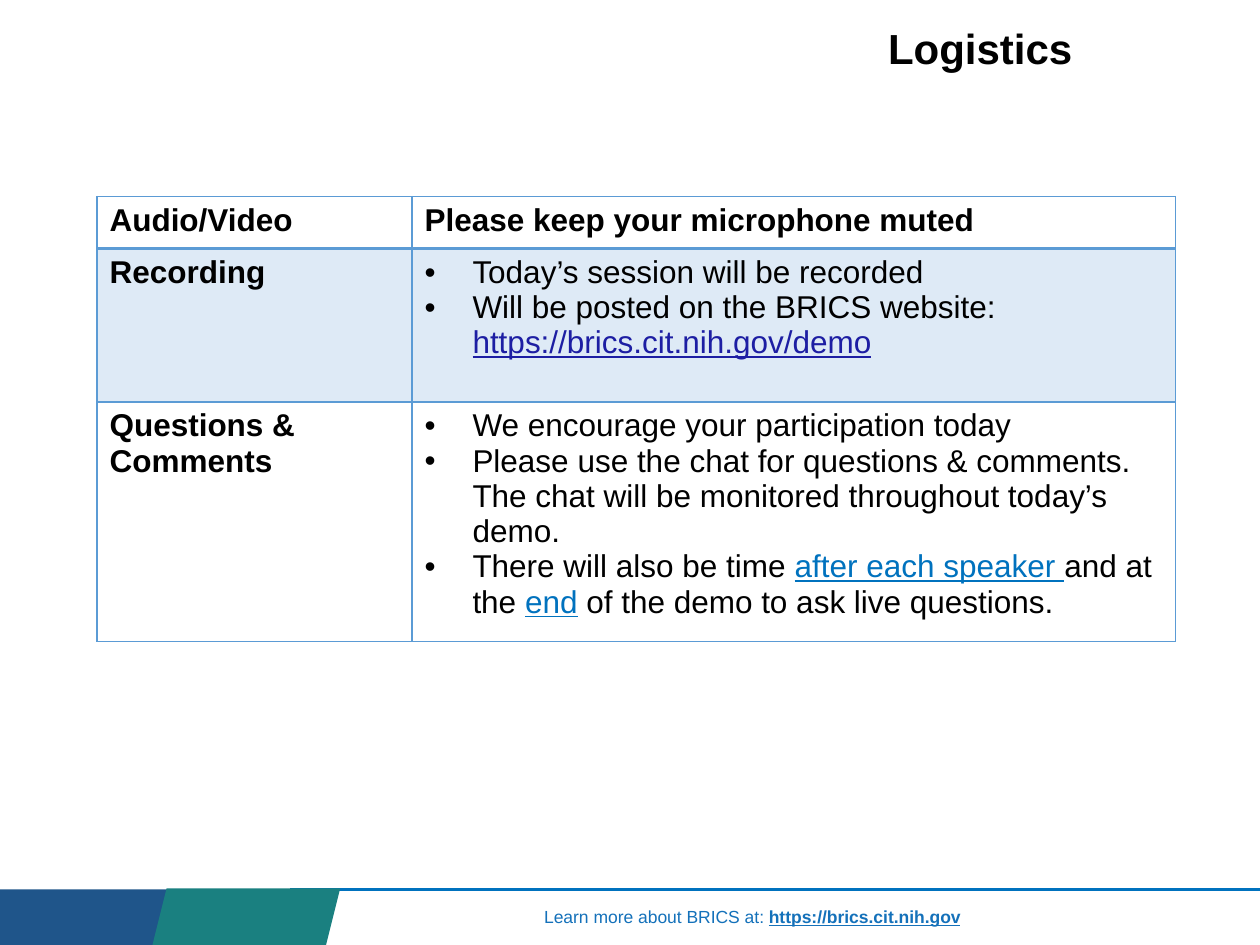
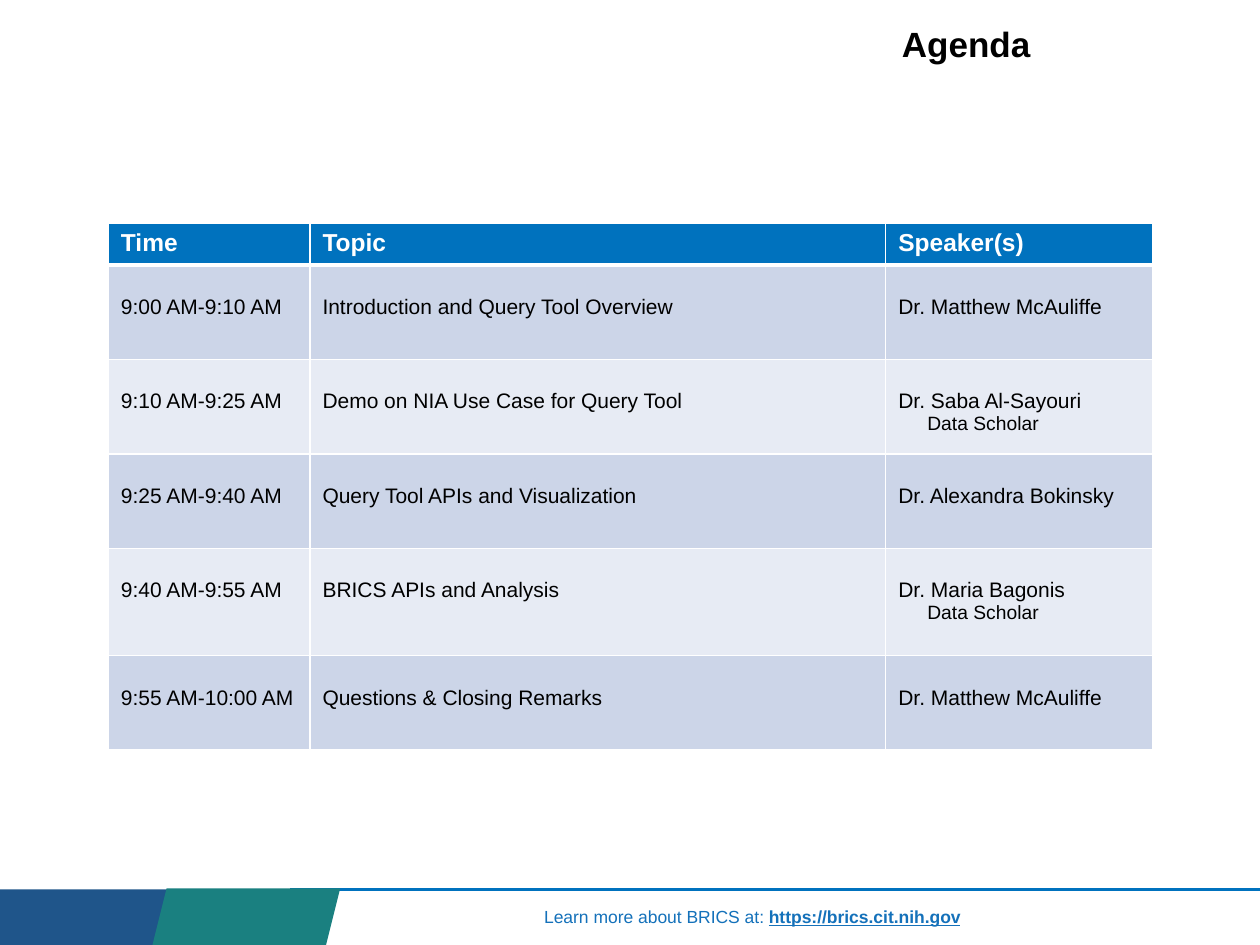
from pptx import Presentation
from pptx.dml.color import RGBColor
from pptx.enum.shapes import MSO_CONNECTOR as Link, MSO_SHAPE as Shape
from pptx.enum.text import MSO_ANCHOR as Anchor
from pptx.oxml.ns import qn
from pptx.util import Inches, Pt
from lxml.etree import SubElement

BLACK = RGBColor(0x00, 0x00, 0x00)
WHITE = RGBColor(0xFF, 0xFF, 0xFF)
BLUE = RGBColor(0x00, 0x72, 0xBE)
NAVY = RGBColor(0x1F, 0x55, 0x8A)
TEAL = RGBColor(0x1A, 0x80, 0x80)
FOOT = RGBColor(0x14, 0x71, 0xBA)
LINK = RGBColor(0x1D, 0x1E, 0xA3)
RULE = RGBColor(0x5B, 0x9B, 0xD5)
PALE = RGBColor(0xDE, 0xEA, 0xF6)
BANDS = RGBColor(0xCC, 0xD5, 0xE8), RGBColor(0xE7, 0xEB, 0xF4)
FACE = "Arial"


class Deck:
    def __init__(self):
        self.prs = Presentation()
        self.prs.slide_width = Inches(10)
        self.prs.slide_height = Inches(7.5)

    def page(self, title, size, *box):
        """Start a slide with its footer band and title."""
        blank = self.prs.slide_layouts[6]
        self.shapes = self.prs.slides.add_slide(blank).shapes
        self.line(2.3, 7.06, 10, 7.06, BLUE, 2)
        self.block(Shape.RECTANGLE, NAVY, 0, 7.06, 1.37, 0.44)
        foot = self.text(4.22, 7.14, 3.54, 0.27)
        self.fill_para(foot.paragraphs[0], [
            "Learn more about BRICS at: ",
            ("https://brics.cit.nih.gov", {"bold": True, "underline": True}),
        ], 10, FOOT)
        self.block(Shape.PARALLELOGRAM, TEAL, 1.21, 7.05, 1.49, 0.45)
        head = self.text(*box)
        head.vertical_anchor = Anchor.MIDDLE
        head.paragraphs[0].line_spacing = 0.9
        self.fill_para(head.paragraphs[0], [title], size, bold=True)

    def line(self, x1, y1, x2, y2, color, width):
        line = self.shapes.add_connector(
            Link.STRAIGHT, Inches(x1), Inches(y1), Inches(x2), Inches(y2))
        line.line.color.rgb = color
        line.line.width = Pt(width)
        SubElement(line._element.spPr, qn("a:effectLst"))

    def block(self, kind, color, *box):
        block = self.shapes.add_shape(kind, *map(Inches, box))
        block.shadow.inherit = False
        block.fill.solid()
        block.fill.fore_color.rgb = color
        block.line.fill.background()

    def text(self, *box):
        frame = self.shapes.add_textbox(*map(Inches, box)).text_frame
        frame.word_wrap = False
        return frame

    def fill_para(self, para, runs, size, color=BLACK, bold=False,
                  bullet=False, indent=0):
        """Write runs, each a string or a (string, font changes) pair."""
        props = para._p.get_or_add_pPr()
        if bullet:
            props.set("marL", str(Inches(0.38)))
            props.set("indent", str(-Inches(0.38)))
            SubElement(props, qn("a:buFont"), typeface=FACE)
            SubElement(props, qn("a:buChar"), char="•")
        elif indent:
            props.set("marL", str(Inches(indent)))
        font = para.font
        font.name, font.size, font.bold = FACE, Pt(size), bold
        font.color.rgb = color
        for item in runs:
            words, style = (item, {}) if isinstance(item, str) else item
            run = para.add_run()
            run.text = words
            for key, value in style.items():
                if key == "color":
                    run.font.color.rgb = value
                else:
                    setattr(run.font, key, value)

    def table(self, left, top, cols, rows):
        size = len(rows), len(cols)
        grid = self.shapes.add_table(
            *size, Inches(left), Inches(top),
            Inches(sum(cols)), Inches(sum(rows))).table
        grid.first_row = grid.horz_banding = False
        for col, width in zip(grid.columns, cols):
            col.width = Inches(width)
        for row, height in zip(grid.rows, rows):
            row.height = Inches(height)
        return grid

    def cell(self, cell, paras, fill, edge, top=1, base=1):
        """Write (runs, style) paragraphs; top and base are edge widths."""
        props = cell._tc.get_or_add_tcPr()
        for side, width in zip("LRTB", (1, 1, top, base)):
            line = SubElement(props, qn("a:ln" + side), w=str(Pt(width)))
            tint = SubElement(line, qn("a:solidFill"))
            SubElement(tint, qn("a:srgbClr"), val=str(edge))
        if fill is None:
            cell.fill.background()
        else:
            cell.fill.solid()
            cell.fill.fore_color.rgb = fill
        frame = cell.text_frame
        for i, (runs, style) in enumerate(paras):
            para = frame.add_paragraph() if i else frame.paragraphs[0]
            self.fill_para(para, runs, **style)


def logistics(deck):
    deck.page("Logistics", 24, 6.95, 0.14, 1.68, 0.53)
    mark = {"color": BLUE, "underline": True}
    topics = [
        ("Audio/Video", [["Please keep your microphone muted"]]),
        ("Recording", [
            ["Today’s session will be recorded"],
            ["Will be posted on the BRICS website: ",
             ("https://brics.cit.nih.gov/demo",
              {"color": LINK, "underline": True})]]),
        ("Questions & Comments", [
            ["We encourage your participation today"],
            ["Please use the chat for questions & comments. The chat will "
             "be monitored throughout today’s demo."],
            ["There will also be time ", ("after each speaker ", mark),
             "and at the ", ("end", mark),
             " of the demo to ask live questions."]]),
    ]
    grid = deck.table(0.77, 1.56, [2.5, 6.06], [0.41, 1.22, 1.78])
    strong = {"size": 18, "bold": True}
    points = {"size": 18, "bullet": True}
    for r, (name, notes) in enumerate(topics):
        look = points if r else strong
        texts = [([name], strong)], [(note, look) for note in notes]
        for c, paras in enumerate(texts):
            deck.cell(grid.cell(r, c), paras, PALE if r == 1 else None, RULE,
                      top=2 if r == 1 else 1, base=1 if r else 2)


def agenda(deck):
    deck.page("Agenda", 20, 7.06, 0.13, 1.33, 0.48)
    talks = [
        ("Time", "Topic", "Speaker(s)"),
        ("9:00 AM-9:10 AM", "Introduction and Query Tool Overview",
         "Dr. Matthew McAuliffe"),
        ("9:10 AM-9:25 AM", "Demo on NIA Use Case for Query Tool",
         "Dr. Saba Al-Sayouri", "Data Scholar"),
        ("9:25 AM-9:40 AM", "Query Tool APIs and Visualization",
         "Dr. Alexandra Bokinsky"),
        ("9:40 AM-9:55 AM", "BRICS APIs and Analysis",
         "Dr. Maria Bagonis", "Data Scholar"),
        ("9:55 AM-10:00 AM", "Questions & Closing Remarks",
         "Dr. Matthew McAuliffe"),
    ]
    grid = deck.table(0.86, 1.77, [1.6, 4.57, 2.12],
                      [0.32, 0.75, 0.75, 0.75, 0.85, 0.75])
    header = {"size": 14, "color": WHITE, "bold": True}
    for r, (*texts, last) in enumerate(talks):
        role = last if len(texts) == 3 else None
        names = texts if role else [*texts, last]
        for c, name in enumerate(names):
            cell = grid.cell(r, c)
            paras = [([name], {"size": 12} if r else header)]
            if role and c == 2:
                paras.append(([role], {"size": 11, "indent": 0.23}))
            if r:
                cell.margin_top = Inches(0.24)
            deck.cell(cell, paras, BANDS[(r - 1) % 2] if r else BLUE, WHITE,
                      top=3 if r == 1 else 1, base=1 if r else 3)


def main():
    deck = Deck()
    logistics(deck)
    agenda(deck)
    deck.prs.save("out.pptx")


if __name__ == "__main__":
    main()
